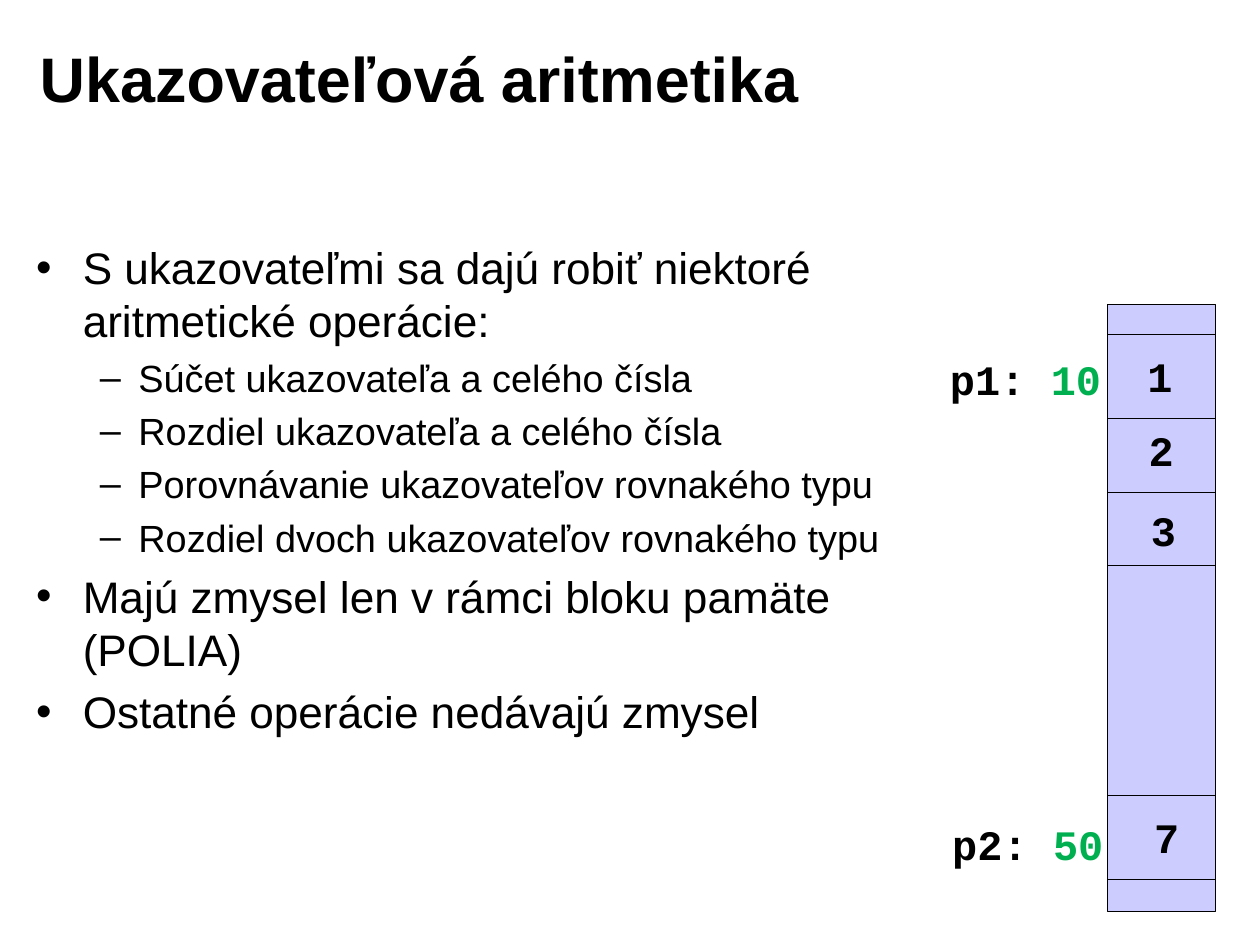
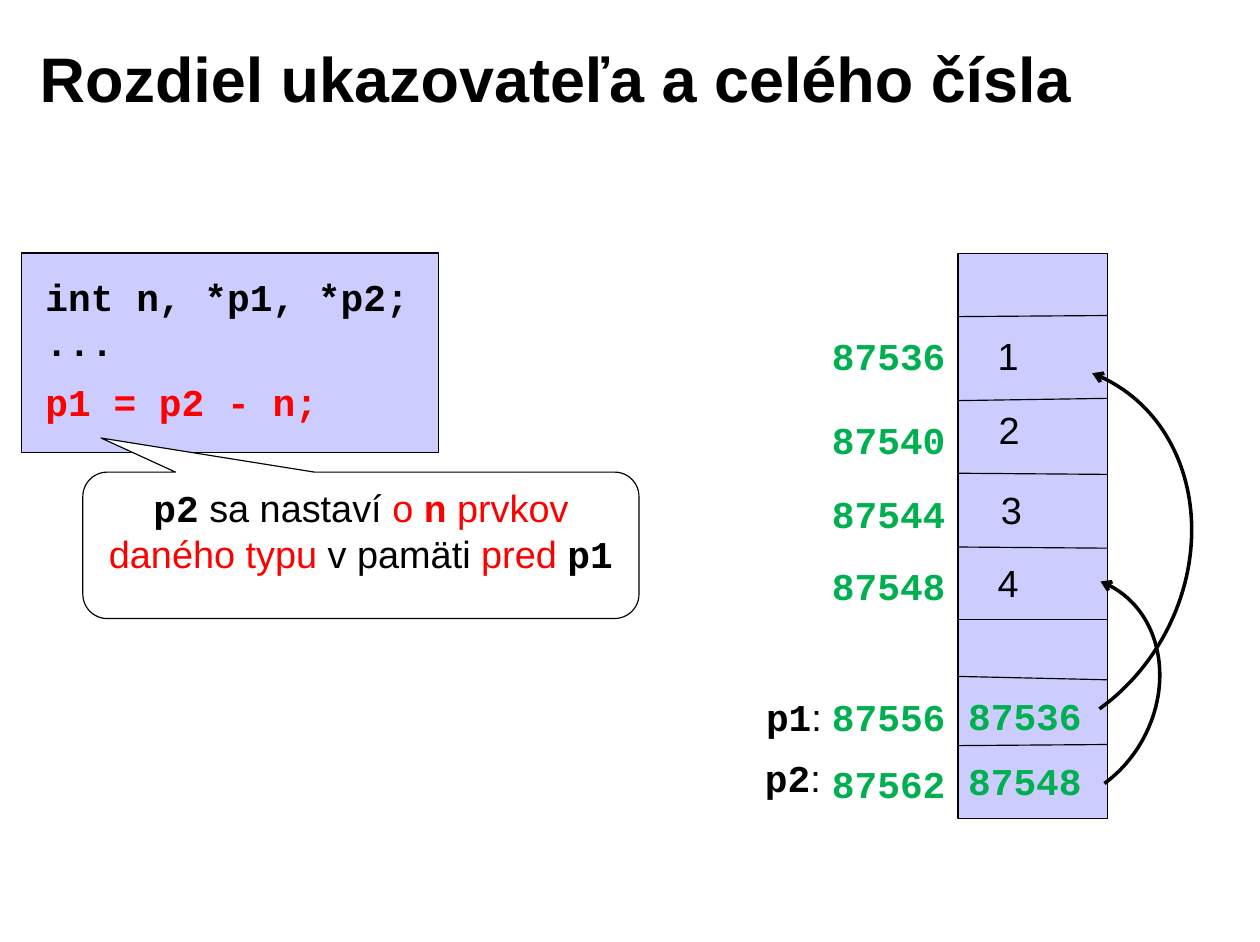
"""Two slides on pointer arithmetic with memory diagrams."""
import pptx
import pptx.dml.color
import pptx.enum.shapes
import pptx.enum.text
import pptx.oxml.ns
import pptx.util
from lxml import etree

Inches = pptx.util.Inches
Pt = pptx.util.Pt
qn = pptx.oxml.ns.qn
SHAPES = pptx.enum.shapes.MSO_SHAPE
ANCHOR = pptx.enum.text.MSO_ANCHOR
BLACK = pptx.dml.color.RGBColor(0x00, 0x00, 0x00)
WHITE = pptx.dml.color.RGBColor(0xFF, 0xFF, 0xFF)
RED = pptx.dml.color.RGBColor(0xFF, 0x00, 0x00)
GREEN = pptx.dml.color.RGBColor(0x00, 0xB0, 0x50)
LILAC = pptx.dml.color.RGBColor(0xCC, 0xCC, 0xFF)
SANS = "Arial"
MONO = "Courier New"


def write(paragraph, size, *pieces):
    for text, font, color, bold in pieces:
        run = paragraph.add_run()
        run.text = text
        run.font.name = font
        run.font.size = Pt(size)
        run.font.bold = bold
        run.font.color.rgb = color


def add_box(slide, left, top, width, height, kind=None, fill=None, weight=0.75):
    area = [Inches(value) for value in (left, top, width, height)]
    if kind is None:
        box = slide.shapes.add_textbox(*area)
    else:
        box = slide.shapes.add_shape(kind, *area)
        box.shadow.inherit = False
        box.line.color.rgb = BLACK
        box.line.width = Pt(weight)
        if fill is None:
            box.fill.background()
        else:
            box.fill.solid()
            box.fill.fore_color.rgb = fill
    box.text_frame.word_wrap = True
    box.text_frame.vertical_anchor = ANCHOR.TOP
    return box


deck = pptx.Presentation()
deck.slide_width = Inches(11.1)
deck.slide_height = Inches(8.3)

MEMORIES = [
    ("Ukazovateľová aritmetika", (9.76, 2.68, 0.95, 5.35),
     [(y, y) for y in (2.95, 3.69, 4.34, 4.98, 7.01, 7.75)]),
    ("Rozdiel ukazovateľa a celého čísla", (8.44, 2.23, 1.32, 4.98),
     [(2.79, 2.78), (3.53, 3.51), (4.17, 4.18), (4.82, 4.83),
      (5.46, 5.46), (5.96, 5.99), (6.57, 6.56)]),
]
slides = []
for heading, memory, dividers in MEMORIES:
    slide = deck.slides.add_slide(deck.slide_layouts[6])
    slides.append(slide)
    title = add_box(slide, 0.24, 0.17, 9.36, 1.02).text_frame
    title.vertical_anchor = ANCHOR.MIDDLE
    title.margin_left = Inches(0.11)
    write(title.paragraphs[0], 39.9, (heading, SANS, BLACK, True))
    add_box(slide, *memory, SHAPES.RECTANGLE, LILAC)
    left, _, width, _ = memory
    for start, end in dividers:
        divider = slide.shapes.add_connector(
            pptx.enum.shapes.MSO_CONNECTOR.STRAIGHT,
            Inches(left), Inches(start), Inches(left + width), Inches(end))
        divider.line.color.rgb = BLACK
        divider.line.width = Pt(0.75)
        etree.SubElement(divider._element.spPr, qn("a:effectLst"))
overview, difference = slides

for value, left, top in (("1", 10.01, 3.04), ("2", 10.02, 3.69),
                         ("3", 10.04, 4.4), ("7", 10.07, 7.1)):
    cell = add_box(overview, left, top, 0.5, 0.55)
    write(cell.text_frame.paragraphs[0], 26.6, (value, MONO, BLACK, True))

for pointer, address, left, top in (("p1: ", "10", 8.27, 3.07),
                                    ("p2: ", "50", 8.29, 7.16)):
    label = add_box(overview, left, top, 1.61, 0.55)
    write(label.text_frame.paragraphs[0], 26.6,
          (pointer, MONO, BLACK, True), (address, MONO, GREEN, True))

OPERATIONS = [
    (0, "S ukazovateľmi sa dajú robiť niektoré aritmetické operácie:"),
    (1, "Súčet ukazovateľa a celého čísla"),
    (1, "Rozdiel ukazovateľa a celého čísla"),
    (1, "Porovnávanie ukazovateľov rovnakého typu"),
    (1, "Rozdiel dvoch ukazovateľov rovnakého typu"),
    (0, "Majú zmysel len v rámci bloku pamäte (POLIA)"),
    (0, "Ostatné operácie nedávajú zmysel"),
]
LEVELS = [(28, 0.41, 0.41, "•", 6), (24, 0.9, 0.34, "–", 5)]
body = add_box(overview, 0.21, 2.06, 8.34, 5.33).text_frame
body.margin_left = body.margin_right = Inches(0.11)
body.margin_top = body.margin_bottom = Inches(0.06)
for index, (level, text) in enumerate(OPERATIONS):
    size, indent, hanging, mark, gap = LEVELS[level]
    item = body.add_paragraph() if index else body.paragraphs[0]
    item.level = level
    if index:
        item.space_before = Pt(gap)
    properties = item._p.get_or_add_pPr()
    properties.set("marL", str(Inches(indent)))
    properties.set("indent", str(-Inches(hanging)))
    etree.SubElement(properties, qn("a:buFont")).set("typeface", SANS)
    etree.SubElement(properties, qn("a:buChar")).set("char", mark)
    write(item, size, (text, SANS, BLACK, False))

add_box(difference, 0.19, 2.23, 3.67, 1.76, SHAPES.RECTANGLE, LILAC)
code = add_box(difference, 0.29, 2.35, 3.45, 1.49).text_frame
code.margin_left = Inches(0.11)
code.margin_top = Inches(0.06)
for index, (line, color, gap) in enumerate((("int n, *p1, *p2;", BLACK, 0),
                                            ("...", BLACK, 0),
                                            ("p1 = p2 - n;", RED, 9))):
    statement = code.add_paragraph() if index else code.paragraphs[0]
    if gap:
        statement.space_before = Pt(gap)
    write(statement, 24, (line, MONO, color, True))

for value, left, top in (("1", 8.69, 2.88), ("2", 8.7, 3.53),
                         ("3", 8.72, 4.24), ("4", 8.69, 4.88)):
    cell = add_box(difference, left, top, 0.5, 0.51)
    write(cell.text_frame.paragraphs[0], 24, (value, SANS, BLACK, False))

for address, left, top in (("87536", 7.23, 2.88), ("87540", 7.23, 3.62),
                           ("87544", 7.23, 4.27), ("87548", 7.23, 4.91),
                           ("87556", 7.23, 6.06), ("87562", 7.23, 6.65),
                           ("87536", 8.43, 6.05), ("87548", 8.43, 6.63)):
    cell = add_box(difference, left, top, 1.51, 0.51)
    write(cell.text_frame.paragraphs[0], 24, (address, MONO, GREEN, True))

for pointer, left, top in (("p1", 6.65, 6.06), ("p2", 6.64, 6.6)):
    label = add_box(difference, left, top, 1.01, 0.51)
    write(label.text_frame.paragraphs[0], 24,
          (pointer, MONO, BLACK, True), (":", SANS, BLACK, False))

for area in ((7.46, 3.15, 2.98, 3.46), (8.4, 5.04, 1.78, 2.09)):
    reference = add_box(difference, *area, SHAPES.ARC, weight=2.25)
    reference.rotation = 28.6
    reference.adjustments[0] = 158.57
    reference.adjustments[1] = 19.87
    arrowhead = etree.SubElement(reference.line._get_or_add_ln(), qn("a:headEnd"))
    arrowhead.set("type", "arrow")

callout = add_box(difference, 0.73, 4.16, 4.9, 1.29,
                  SHAPES.ROUNDED_RECTANGULAR_CALLOUT, WHITE)
for index, value in enumerate((-0.467, -0.733, 0.167)):
    callout.adjustments[index] = round(value, 3)
explanation = callout.text_frame.paragraphs[0]
explanation.alignment = pptx.enum.text.PP_ALIGN.CENTER
write(explanation, 24,
      ("p2", MONO, BLACK, True),
      (" sa nastaví ", SANS, BLACK, False),
      ("o ", SANS, RED, False),
      ("n", MONO, RED, True),
      (" prvkov daného typu", SANS, RED, False),
      (" v pamäti ", SANS, BLACK, False),
      ("pred ", SANS, RED, False),
      ("p1", MONO, BLACK, True))

deck.save("out.pptx")
